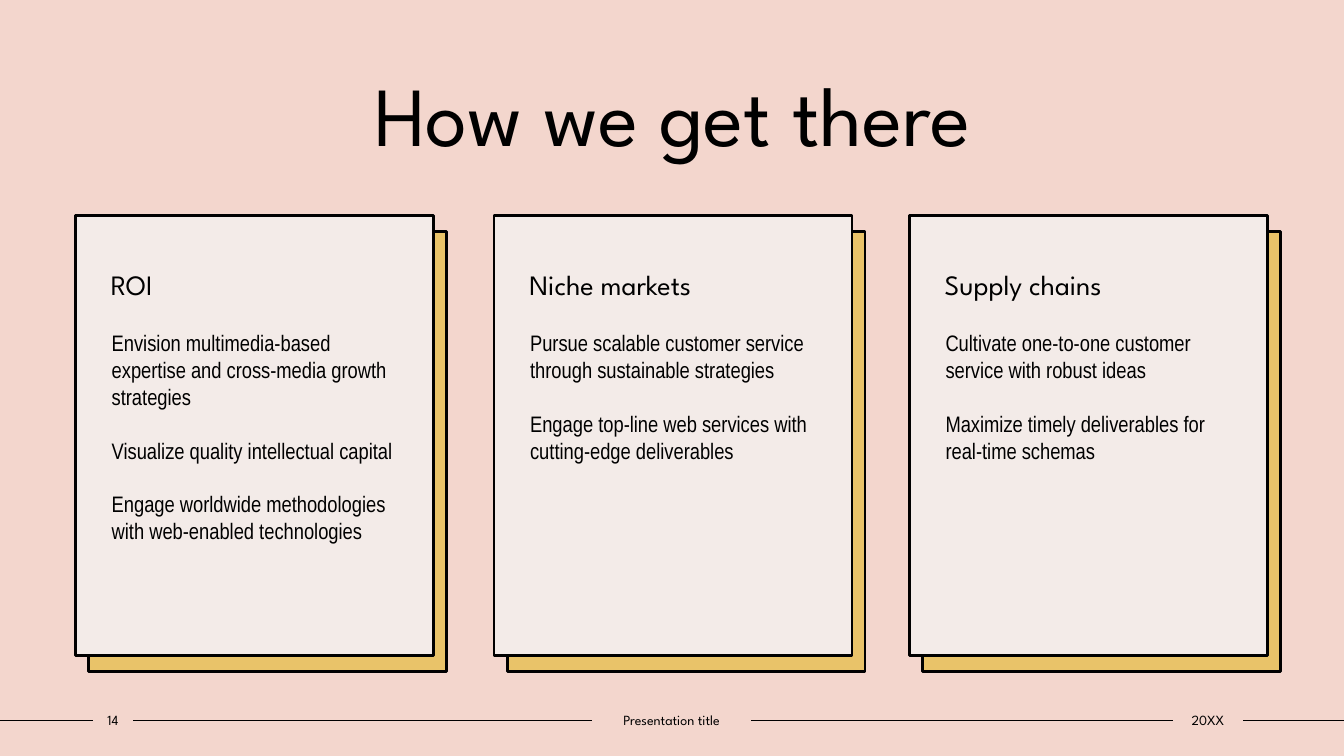
from lxml.etree import SubElement
from pptx import Presentation
from pptx.dml.color import RGBColor
from pptx.enum.shapes import MSO_CONNECTOR, MSO_SHAPE
from pptx.enum.text import MSO_ANCHOR, PP_ALIGN
from pptx.oxml.ns import qn
from pptx.util import Inches, Pt

W, H = 13.33, 7.5
HEAD, BODY = "League Spartan", "Arial Narrow"
PINK, CREAM, GOLD, BLACK = "F3D6CD", "F3EBE8", "E9C369", "000000"

TITLE = "How we get there"
CARDS = [
    (0.75, "ROI", [
        "Envision multimedia-based expertise and cross-media growth strategies",
        "Visualize quality intellectual capital",
        "Engage worldwide methodologies with web-enabled technologies",
    ]),
    (4.9, "Niche markets", [
        "Pursue scalable customer service through sustainable strategies",
        "Engage top-line web services with cutting-edge deliverables",
    ]),
    (9.02, "Supply chains", [
        "Cultivate one-to-one customer service with robust ideas",
        "Maximize timely deliverables for real-time schemas",
    ]),
]
FOOTER = [(0.92, 0.4, "14"), (5.87, 1.58, "Presentation title"), (11.63, 0.7, "20XX")]

CARD_TOP, CARD_W, CARD_H = 2.14, 3.55, 4.36
SHADE_DX, SHADE_DY = 0.13, 0.16
BODY_DX, BODY_TOP, BODY_W, BODY_H = 0.26, 3.22, 3, 3.05
FOOT_TOP, FOOT_H = 7.01, 0.27
FOOT_MID = FOOT_TOP + FOOT_H / 2


def color(value):
    return RGBColor.from_string(value)


def add_card(s, x, y, fill):
    sp = s.shapes.add_shape(MSO_SHAPE.RECTANGLE, Inches(x), Inches(y),
                            Inches(CARD_W), Inches(CARD_H))
    sp.shadow.inherit = False
    sp.fill.solid()
    sp.fill.fore_color.rgb = color(fill)
    sp.line.color.rgb = color(BLACK)
    sp.line.width = Pt(2)
    return sp


def add_box(s, x, y, w, h):
    return s.shapes.add_textbox(Inches(x), Inches(y), Inches(w), Inches(h))


def write(sp, lines, size, font, align=PP_ALIGN.LEFT, anchor=MSO_ANCHOR.TOP,
          insets=(0.1, 0.05, 0.1, 0.05), before=0, after=0, spacing=1.0):
    tf = sp.text_frame
    tf.word_wrap = True
    tf.vertical_anchor = anchor
    tf.margin_left, tf.margin_top, tf.margin_right, tf.margin_bottom = map(Inches, insets)
    for i, line in enumerate(lines):
        p = tf.paragraphs[0] if i == 0 else tf.add_paragraph()
        p.alignment = align
        p.space_before, p.space_after = Pt(before), Pt(after)
        p.line_spacing = spacing
        r = p.add_run()
        r.text = line
        r.font.size = Pt(size)
        r.font.name = font
        r.font.color.rgb = color(BLACK)


def add_rule(s, left, right):
    x1 = left.left + left.width if left else 0
    x2 = right.left if right else Inches(W)
    y = Inches(FOOT_MID)
    line = s.shapes.add_connector(MSO_CONNECTOR.STRAIGHT, x1, y, x2, y)
    if left:
        line.begin_connect(left, 3)
    if right:
        line.end_connect(right, 1)
    line.line.color.rgb = color(BLACK)
    line.line.width = Pt(1)
    SubElement(line._element.spPr, qn("a:effectLst"))


def main():
    prs = Presentation()
    prs.slide_width, prs.slide_height = Inches(W), Inches(H)
    s = prs.slides.add_slide(prs.slide_layouts[6])
    s.background.fill.solid()
    s.background.fill.fore_color.rgb = color(PINK)

    write(add_box(s, 1.25, 0.56, 10.84, 1.11), [TITLE], 60, HEAD,
          PP_ALIGN.CENTER, MSO_ANCHOR.MIDDLE)

    for x, heading, points in CARDS:
        add_card(s, x + SHADE_DX, CARD_TOP + SHADE_DY, GOLD)
        write(add_card(s, x, CARD_TOP, CREAM), [heading], 20, HEAD,
              insets=(0.35, 0.55, 0.1, 0.05), before=10, spacing=0.9)
        write(add_box(s, x + BODY_DX, BODY_TOP, BODY_W, BODY_H), points, 16, BODY, after=19)

    labels = []
    for x, w, text in FOOTER:
        sp = add_box(s, x, FOOT_TOP, w, FOOT_H)
        write(sp, [text], 10, HEAD, PP_ALIGN.CENTER, MSO_ANCHOR.MIDDLE, (0, 0.05, 0, 0.05))
        labels.append(sp)
    for left, right in zip([None] + labels, labels + [None]):
        add_rule(s, left, right)

    prs.save("out.pptx")


if __name__ == "__main__":
    main()
